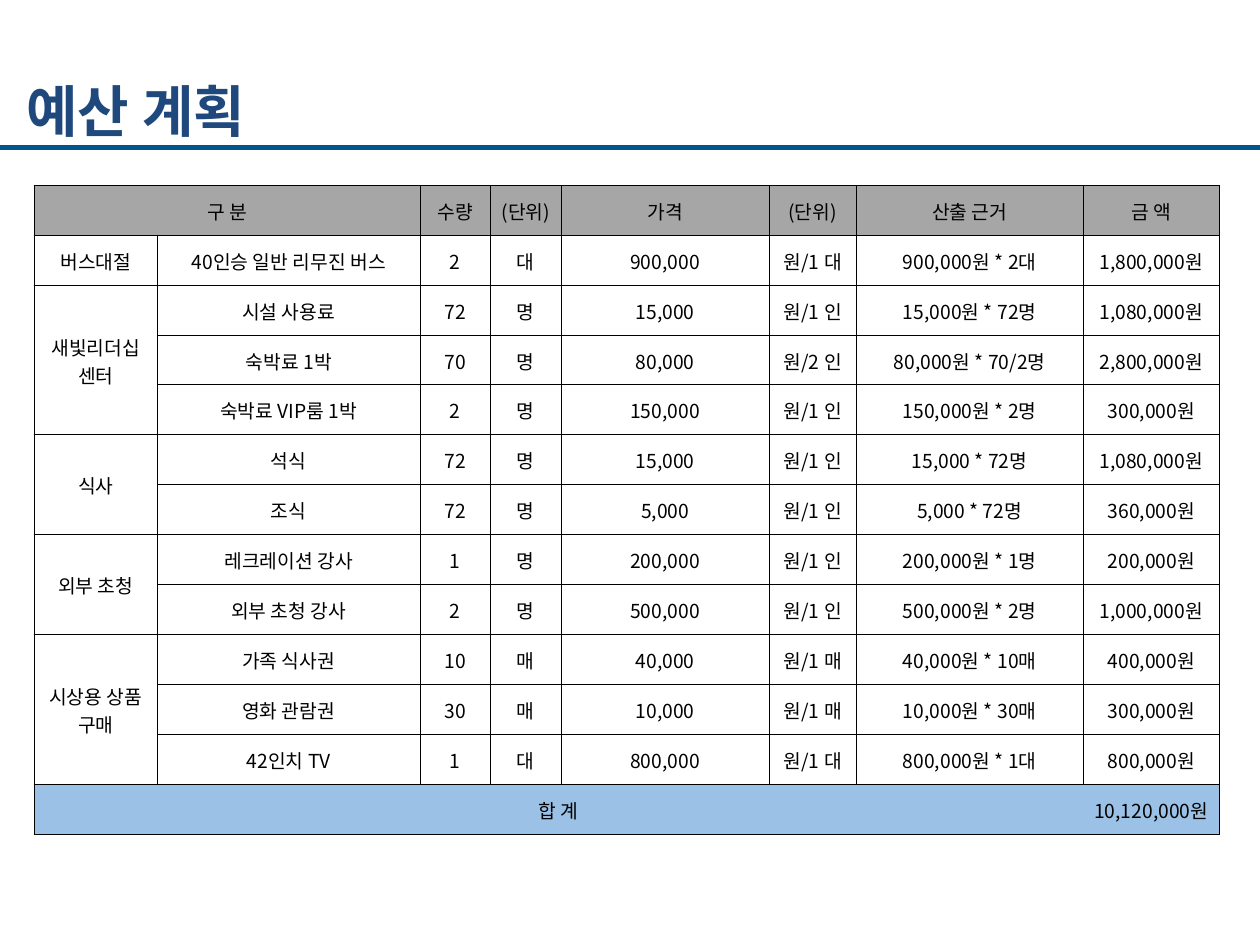
from copy import deepcopy
from dataclasses import dataclass

from lxml import etree
from pptx import Presentation
from pptx import util as u
from pptx.dml.color import RGBColor
from pptx.enum import shapes, text
from pptx.oxml.ns import qn


@dataclass(frozen=True)
class Theme:
    """Hold the colours, type sizes and line widths of the slide."""
    font: str = "Noto Sans CJK KR"
    title: str = "1F497D"
    rule: str = "00558E"
    ink: str = "000000"
    head: str = "A6A6A6"
    total: str = "9BC2E6"
    big: int = 32
    small: int = 11
    thick: float = 3
    thin: float = 0.5


THEME = Theme()
WIDTHS = [0.98, 2.08, 0.56, 0.56, 1.65, 0.69, 1.8, 1.08]
HEADS = ["구 분", "", "수량", "(단위)", "가격", "(단위)", "산출 근거", "금 액"]
GROUPS = {
    "버스대절": [
        ("40인승 일반 리무진 버스", "2", "대", "900,000", "원/1 대", "900,000원 * 2대", "1,800,000원"),
    ],
    "새빛리더십\n센터": [
        ("시설 사용료", "72", "명", "15,000", "원/1 인", "15,000원 * 72명", "1,080,000원"),
        ("숙박료 1박", "70", "명", "80,000", "원/2 인", "80,000원 * 70/2명", "2,800,000원"),
        ("숙박료 VIP룸 1박", "2", "명", "150,000", "원/1 인", "150,000원 * 2명", "300,000원"),
    ],
    "식사": [
        ("석식", "72", "명", "15,000", "원/1 인", "15,000 * 72명", "1,080,000원"),
        ("조식", "72", "명", "5,000", "원/1 인", "5,000 * 72명", "360,000원"),
    ],
    "외부 초청": [
        ("레크레이션 강사", "1", "명", "200,000", "원/1 인", "200,000원 * 1명", "200,000원"),
        ("외부 초청 강사", "2", "명", "500,000", "원/1 인", "500,000원 * 2명", "1,000,000원"),
    ],
    "시상용 상품\n구매": [
        ("가족 식사권", "10", "매", "40,000", "원/1 매", "40,000원 * 10매", "400,000원"),
        ("영화 관람권", "30", "매", "10,000", "원/1 매", "10,000원 * 30매", "300,000원"),
        ("42인치 TV", "1", "대", "800,000", "원/1 대", "800,000원 * 1대", "800,000원"),
    ],
}
TOTAL = ["합 계"] + [""] * 6 + ["10,120,000원"]


def say(frame, words, size=THEME.small, color=THEME.ink, bold=False, align=text.PP_ALIGN.CENTER):
    """Write words into a text frame in one format."""
    para = frame.paragraphs[0]
    para.text = words
    para.alignment = align
    for run in para.runs:
        font = run.font
        font.size, font.bold, font.name = u.Pt(size), bold, THEME.font
        font.color.rgb = RGBColor.from_string(color)
        props = run._r.get_or_add_rPr()
        etree.SubElement(props, qn("a:ea"), typeface=THEME.font)
        for gap in para._p.findall(qn("a:br")):
            if len(gap) == 0:
                gap.append(deepcopy(props))


def edge(cell, sides):
    """Draw thin lines on the named sides of a cell and clear the rest."""
    props = cell._tc.get_or_add_tcPr()
    for side in "LRTB":
        line = etree.SubElement(props, qn(f"a:ln{side}"), w=str(u.Pt(THEME.thin)))
        if side in sides:
            fill = etree.SubElement(line, qn("a:solidFill"))
            etree.SubElement(fill, qn("a:srgbClr"), val=THEME.ink)
        else:
            etree.SubElement(line, qn("a:noFill"))


def fit(cell, words, fill, sides):
    """Set the text, margins, lines and fill of one cell."""
    cell.margin_left = cell.margin_right = cell.margin_top = u.Inches(0.01)
    cell.margin_bottom = 0
    cell.vertical_anchor = text.MSO_ANCHOR.MIDDLE
    edge(cell, sides)
    if fill:
        cell.fill.solid()
        cell.fill.fore_color.rgb = RGBColor.from_string(fill)
    else:
        cell.fill.background()
    say(cell.text_frame, words)


def add_title(slide, left, top, width, height):
    """Place the heading in its box."""
    box = slide.shapes.add_textbox(*map(u.Inches, (left, top, width, height)))
    frame = box.text_frame
    frame.word_wrap = True
    frame.vertical_anchor = text.MSO_ANCHOR.MIDDLE
    say(frame, "예산 계획", size=THEME.big, color=THEME.title, bold=True, align=text.PP_ALIGN.LEFT)


def add_rule(slide, left, top, width):
    """Draw the line under the heading."""
    ends = map(u.Inches, (left, top, left + width, top))
    line = slide.shapes.add_connector(shapes.MSO_CONNECTOR.STRAIGHT, *ends)
    line.line.width = u.Pt(THEME.thick)
    line.line.color.rgb = RGBColor.from_string(THEME.rule)
    etree.SubElement(line._element.spPr, qn("a:effectLst"))


def add_budget(slide, left, top, width, height):
    """Build the budget table with its merged groups and total row."""
    items = [("" if i else name, *item) for name, group in GROUPS.items() for i, item in enumerate(group)]
    rows = [HEADS, *items, TOTAL]
    last, end = len(rows) - 1, len(WIDTHS) - 1
    frame = slide.shapes.add_table(len(rows), len(WIDTHS), *map(u.Inches, (left, top, width, height)))
    table = frame.table
    table.first_row = table.horz_banding = False
    for col, part in zip(table.columns, WIDTHS):
        col.width = u.Inches(width * part / sum(WIDTHS))
    for row in table.rows:
        row.height = u.Inches(height / len(rows))

    fills = {0: THEME.head, last: THEME.total}
    for r, row in enumerate(rows):
        for c, words in enumerate(row):
            sides = "LRTB" if r < last else {0: "LTB", end: "RTB"}.get(c, "TB")
            fit(table.cell(r, c), words, fills.get(r), sides)

    table.cell(0, 0).merge(table.cell(0, 1))
    table.cell(last, 0).merge(table.cell(last, end - 1))
    start = 1
    for group in GROUPS.values():
        if len(group) > 1:
            table.cell(start, 0).merge(table.cell(start + len(group) - 1, 0))
        start += len(group)


def main():
    """Build and save the budget slide."""
    deck = Presentation()
    deck.slide_width, deck.slide_height = u.Inches(10), u.Inches(7.5)
    slide = deck.slides.add_slide(deck.slide_layouts[6])
    add_title(slide, 0.11, 0.39, 7.65, 0.97)
    add_rule(slide, 0, 1.17, 10)
    add_budget(slide, 0.27, 1.47, 9.41, 5.15)
    deck.save("out.pptx")


if __name__ == "__main__":
    main()
